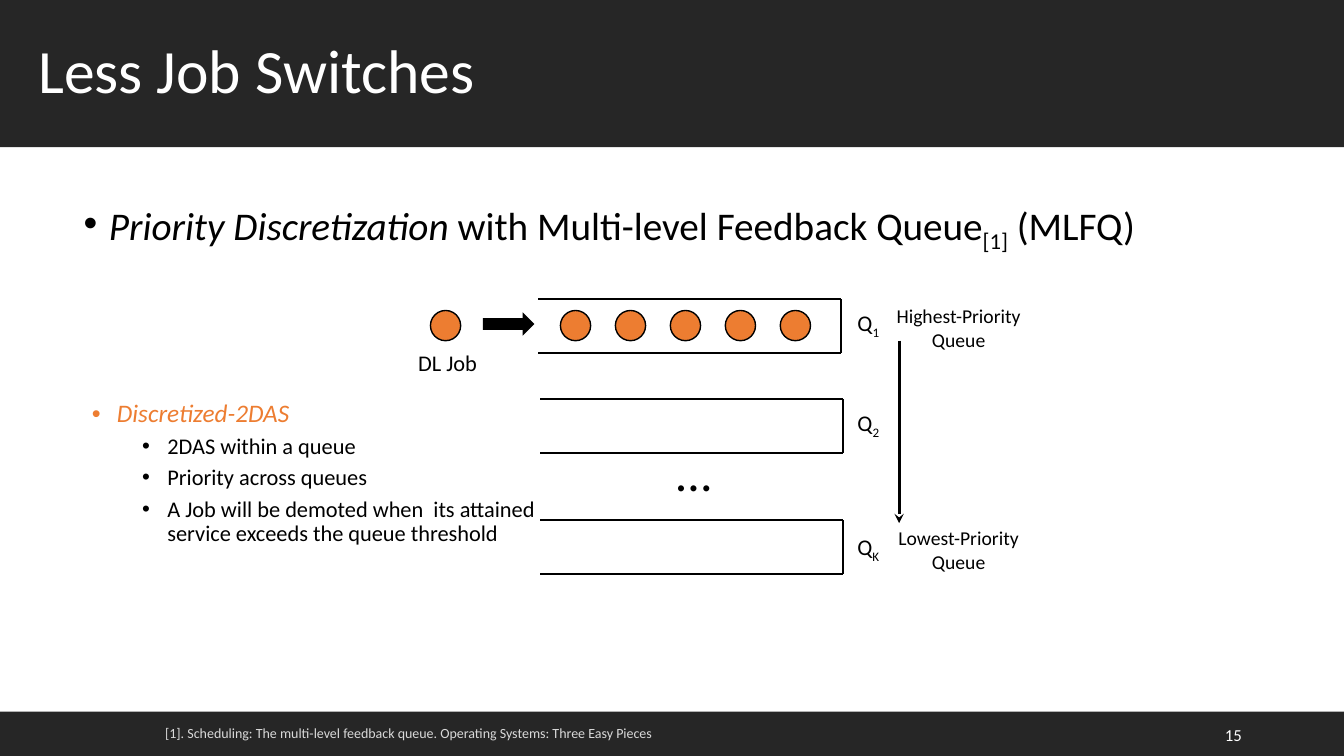
"""Builds the slide on priority discretization with a multi-level feedback queue."""
from lxml.etree import SubElement
from pptx import Presentation
from pptx.dml.color import RGBColor
from pptx.enum.shapes import MSO_CONNECTOR, MSO_SHAPE as SHAPE
from pptx.enum.text import MSO_ANCHOR as ANCHOR, MSO_AUTO_SIZE as AUTO_SIZE, PP_ALIGN as ALIGN
from pptx.oxml.ns import qn
from pptx.util import Inches, Pt

WIDTH, HEIGHT = Inches(13.333), Inches(7.5)
FONT = "Calibri"
BLACK = RGBColor(0x00, 0x00, 0x00)
WHITE = RGBColor(0xFF, 0xFF, 0xFF)
CHARCOAL = RGBColor(0x26, 0x26, 0x26)
SILVER = RGBColor(0xD9, 0xD9, 0xD9)
ORANGE = RGBColor(0xED, 0x7D, 0x31)

QUEUE_WIDTH, QUEUE_HEIGHT = 22.5, 7.1
JOB_WIDTH, JOB_HEIGHT, JOB_TOP = 2.25, 4, 41.07
FIRST_JOB, JOB_STEP, JOB_COUNT = 41.7, 4.09, 5
PRIORITY_CENTER, PRIORITY_WIDTH = 71.33, 11
QUEUES = [(40.05, 39.6, "1", 40.27), (40.2, 52.8, "2", 53.47), (40.2, 68.8, "K", 69.87)]
RULES = [
    "2DAS within a queue",
    "Priority across queues",
    "A Job will be demoted when  its attained service exceeds the queue threshold",
]


def across(percent):
    """Return a share of the slide's width, given in percent."""
    return round(WIDTH * percent / 100)


def down(percent):
    """Return a share of the slide's height, given in percent."""
    return round(HEIGHT * percent / 100)


def area(left, top, width, height):
    """Return a rectangle given in percent of the slide."""
    return across(left), down(top), across(width), down(height)


def add_run(paragraph, text, size, color=BLACK, italic=False, subscript=False):
    """Add one formatted run to a paragraph."""
    run = paragraph.add_run()
    run.text = text
    run.font.name, run.font.size, run.font.italic = FONT, Pt(size), italic
    run.font.color.rgb = color
    if subscript:
        run._r.get_or_add_rPr().set("baseline", "-25000")


def add_label(slide, box, lines, size, color=BLACK, align=ALIGN.LEFT, anchor=ANCHOR.TOP, subscript=""):
    """Add an unwrapped text box, with an optional subscript after its last line."""
    frame = slide.shapes.add_textbox(*area(*box)).text_frame
    frame.word_wrap = False
    frame.vertical_anchor = anchor
    for number, line in enumerate(lines):
        paragraph = frame.add_paragraph() if number else frame.paragraphs[0]
        paragraph.alignment = align
        add_run(paragraph, line, size, color)
    if subscript:
        add_run(paragraph, subscript, size, color, subscript=True)


def add_block(slide, kind, box, fill, outline=None):
    """Add a filled preset shape, outlined only when a colour is given."""
    shape = slide.shapes.add_shape(kind, *area(*box))
    shape.shadow.inherit = False
    shape.fill.solid()
    shape.fill.fore_color.rgb = fill
    if outline is None:
        shape.line.fill.background()
    else:
        shape.line.color.rgb = outline
        shape.line.width = Pt(1)


def add_line(slide, start, end, width=1.5, arrow=False):
    """Add a straight black line between two points."""
    line = slide.shapes.add_connector(
        MSO_CONNECTOR.STRAIGHT, across(start[0]), down(start[1]), across(end[0]), down(end[1]))
    line.line.color.rgb = BLACK
    line.line.width = Pt(width)
    if arrow:
        SubElement(line.line._get_or_add_ln(), qn("a:tailEnd"), type="stealth")
    SubElement(line._element.spPr, qn("a:effectLst"))


def add_job(slide, left):
    """Add the circle that stands for one job."""
    add_block(slide, SHAPE.OVAL, (left, JOB_TOP, JOB_WIDTH, JOB_HEIGHT), ORANGE, BLACK)


def add_queue(slide, left, top, name, label_top):
    """Add a queue that is open on the left, with its label."""
    right, bottom = left + QUEUE_WIDTH, top + QUEUE_HEIGHT
    corners = [(left, top), (right, top), (right, bottom), (left, bottom)]
    for start, end in zip(corners, corners[1:]):
        add_line(slide, start, end)
    add_label(slide, (62.7, label_top, 3.45, 4.93), ["Q"], 16, align=ALIGN.RIGHT, subscript=name)


def place(placeholder, box):
    """Move a placeholder, fix its text size and return its text frame."""
    placeholder.left, placeholder.top, placeholder.width, placeholder.height = area(*box)
    frame = placeholder.text_frame
    frame.word_wrap = True
    frame.auto_size = AUTO_SIZE.NONE
    return frame


def format_bullet(paragraph, level, indent, before=0):
    """Turn a paragraph into a bullet with a hanging indent."""
    paragraph.level = level
    paragraph.line_spacing = 0.9
    paragraph.space_before = Pt(before)
    properties = paragraph._p.get_or_add_pPr()
    properties.set("marL", str(Inches(indent)))
    properties.set("indent", str(Inches(-0.25)))
    SubElement(properties, qn("a:buFont"), typeface="Arial")
    SubElement(properties, qn("a:buChar"), char="•")


def fill_title(placeholder):
    """Write the title on its dark band."""
    frame = place(placeholder, (0, 0, 100, 19.47))
    placeholder.fill.solid()
    placeholder.fill.fore_color.rgb = CHARCOAL
    frame.vertical_anchor = ANCHOR.MIDDLE
    frame.margin_left = Inches(0.38)
    paragraph = frame.paragraphs[0]
    paragraph.alignment = ALIGN.LEFT
    paragraph.line_spacing = 0.9
    add_run(paragraph, "Less Job Switches", 44, WHITE)


def fill_statement(placeholder):
    """Write the main bullet."""
    paragraph = place(placeholder, (5.48, 26, 86.25, 45.33)).paragraphs[0]
    format_bullet(paragraph, 0, 0.25)
    add_run(paragraph, "Priority Discretization ", 28, italic=True)
    add_run(paragraph, "with Multi-level Feedback Queue", 28)
    add_run(paragraph, "[1]", 28, subscript=True)
    add_run(paragraph, " (MLFQ)", 28)


def fill_rules(placeholder):
    """Write the rules of the discretized scheduler."""
    frame = place(placeholder, (2.33, 52.4, 39.38, 30.53))
    heading = frame.paragraphs[0]
    format_bullet(heading, 1, 0.75)
    add_run(heading, "Discretized-2DAS", 18, ORANGE, italic=True)
    for rule in RULES:
        paragraph = frame.add_paragraph()
        format_bullet(paragraph, 2, 1.25, before=5)
        add_run(paragraph, rule, 16)


def add_diagram(slide):
    """Draw the queues, the jobs and the direction of priority."""
    for queue in QUEUES:
        add_queue(slide, *queue)
    for number in range(JOB_COUNT):
        add_job(slide, FIRST_JOB + number * JOB_STEP)
    add_job(slide, 32.03)
    add_block(slide, SHAPE.RIGHT_ARROW, (35.93, 41.33, 3.83, 3.07), BLACK)
    add_label(slide, (30.38, 45.47, 6.23, 4.93), ["DL Job"], 16)
    add_label(slide, (49.58, 57.6, 5.33, 9.47), ["…"], 36, anchor=ANCHOR.MIDDLE)
    add_line(slide, (66.9, 45.07), (66.9, 69.2), width=2.25, arrow=True)
    for rank, top in (("Highest", 39.6), ("Lowest", 68.93)):
        box = (PRIORITY_CENTER - PRIORITY_WIDTH / 2, top, PRIORITY_WIDTH, 7.6)
        add_label(slide, box, [f"{rank}-Priority", "Queue"], 14, align=ALIGN.CENTER)


def add_footer(slide):
    """Add the dark footer with the citation and the slide number."""
    add_block(slide, SHAPE.RECTANGLE, (0, 94.13, 100, 5.87), CHARCOAL)
    citation = "[1]. Scheduling: The multi-level feedback queue. Operating Systems: Three Easy Pieces"
    add_label(slide, (11.55, 95.2, 38.48, 3.6), [citation], 10, SILVER)
    add_label(slide, (70.65, 94.53, 22.5, 5.33), ["15"], 12, WHITE, ALIGN.RIGHT, ANCHOR.MIDDLE)


def main():
    """Build the slide and save it."""
    presentation = Presentation()
    presentation.slide_width, presentation.slide_height = WIDTH, HEIGHT
    slide = presentation.slides.add_slide(presentation.slide_layouts[3])
    title, statement, rules = slide.placeholders
    fill_title(title)
    fill_statement(statement)
    fill_rules(rules)
    add_diagram(slide)
    add_footer(slide)
    presentation.save("out.pptx")


if __name__ == "__main__":
    main()
